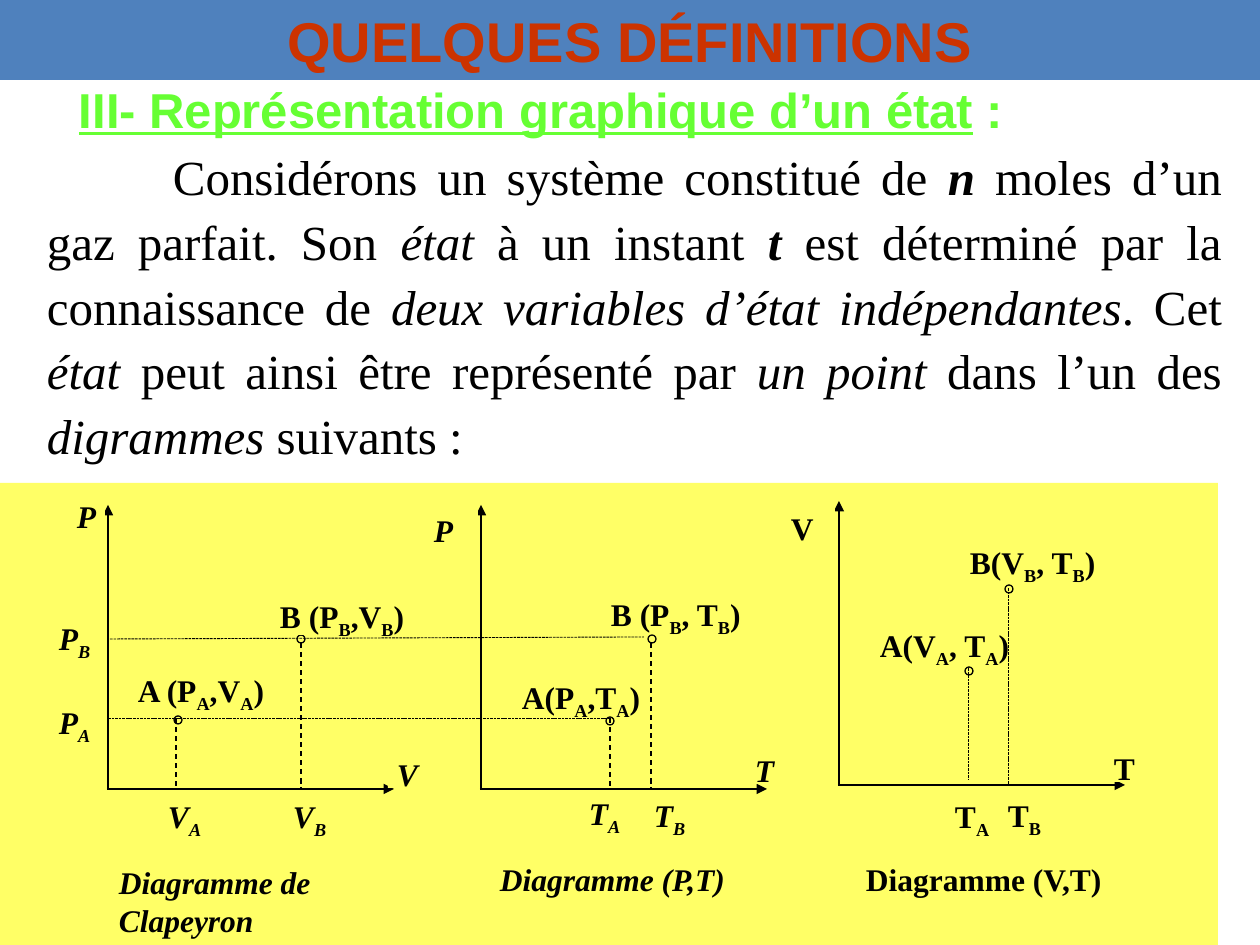
from lxml import etree
from pptx import Presentation
from pptx.dml.color import RGBColor
from pptx.enum.dml import MSO_LINE
from pptx.enum.shapes import MSO_CONNECTOR, MSO_SHAPE
from pptx.enum.text import MSO_ANCHOR, MSO_AUTO_SIZE, PP_ALIGN
from pptx.oxml.ns import qn
from pptx.util import Emu, Pt

STRAIGHT = MSO_CONNECTOR.STRAIGHT
RECTANGLE, OVAL = MSO_SHAPE.RECTANGLE, MSO_SHAPE.OVAL
DASH, SHORT_DASH = MSO_LINE.DASH, MSO_LINE.SQUARE_DOT
LEFT, CENTER, JUSTIFY = PP_ALIGN.LEFT, PP_ALIGN.CENTER, PP_ALIGN.JUSTIFY
TOP, BOTTOM = MSO_ANCHOR.TOP, MSO_ANCHOR.BOTTOM
FIT_SHAPE = MSO_AUTO_SIZE.SHAPE_TO_FIT_TEXT

EMU_PER_PX = 914400 // 126
COLORS = {"banner": "4F81BD", "title": "CC3300", "heading": "66FF33",
          "panel": "FFFF66", "ink": "000000"}

TITLE = "QUELQUES DÉFINITIONS"
HEADING = [("III- Représentation graphique d’un état", {"underline": True}), (" :", {})]
ITALIC = {"italic": True}
BOLD_ITALIC = {"bold": True, "italic": True}
BODY = [
    ("Considérons un système constitué de ", {}), ("n", BOLD_ITALIC),
    (" moles d’un gaz parfait. Son ", {}), ("état ", ITALIC),
    ("à un instant ", {}), ("t ", BOLD_ITALIC),
    ("est déterminé par la connaissance de ", {}),
    ("deux variables d’état indépendantes", ITALIC), (". Cet ", {}),
    ("état ", ITALIC), ("peut ainsi être représenté par ", {}),
    ("un point", ITALIC), (" dans l’un des ", {}),
    ("digrammes", ITALIC), (" suivants\u00a0:", {}),
]

AXIS_WIDTH, AXIS_HEIGHT, POINT_SIZE = 287, 284, 8
ORIGINS = [(107, 789), (480, 789), (838, 785)]
POINTS = [(178, 720), (301, 639), (610, 721), (652, 639), (969, 671), (1009, 589)]
THIN_GUIDES = [(108, 718, 612, 718), (110, 639, 644, 637),
               (968, 668, 968, 780), (1009, 588, 1009, 786)]
GUIDES = [(176, 718, 176, 788), (301, 643, 301, 788),
          (610, 718, 610, 788), (651, 643, 651, 788)]

NARROW, WIDE = (9, 4), (13, 6)
LABEL_GROUPS = [
    (NARROW, True, True, [
        ("P", 68, 493, 37, 50), ("V", 388, 751, 37, 37),
        ("P", 425, 507, 53, 48), ("T", 746, 747, 37, 37),
        ("P_A", 50, 699, 52, 54), ("P_B", 50, 615, 52, 54),
        ("Diagramme de Clapeyron", 110, 859, 318, 45),
        ("Diagramme (P,T)", 491, 856, 331, 63)]),
    (NARROW, False, True, [
        ("V", 782, 505, 53, 48), ("T", 1105, 745, 37, 37),
        ("A (P_A,V_A)", 129, 667, 151, 42), ("B (P_B,V_B)", 271, 593, 146, 42),
        ("A(P_A,T_A)", 513, 674, 142, 42), ("B (P_B, T_B)", 602, 591, 151, 42),
        ("A(V_A, T_A)", 871, 622, 190, 42), ("B(V_B, T_B)", 961, 539, 170, 42),
        ("Diagramme (V,T)", 857, 856, 324, 33)]),
    (WIDE, True, True, [("V_A", 155, 791, 60, 48), ("V_B", 280, 791, 67, 48)]),
    (WIDE, True, False, [("T_A", 576, 788, 79, 48), ("T_B", 641, 790, 60, 48)]),
    (WIDE, False, False, [("T_A", 942, 791, 79, 49), ("T_B", 995, 790, 77, 49)]),
]


def px(value):
    return Emu(value * EMU_PER_PX)


def color(name):
    return RGBColor.from_string(COLORS[name])


def add_shape(shapes, kind, box, fill, outlined=False):
    shape = shapes.add_shape(kind, *map(px, box))
    shape.shadow.inherit = False
    shape.fill.solid()
    shape.fill.fore_color.rgb = color(fill)
    if outlined:
        shape.line.color.rgb = color("ink")
        shape.line.width = Pt(0.75)
    else:
        shape.line.fill.background()
    return shape


def add_line(shapes, ends, width=0.75, dash=None, arrow=False):
    line = shapes.add_connector(STRAIGHT, *map(px, ends))
    line.line.color.rgb = color("ink")
    line.line.width = Pt(width)
    if dash:
        line.line.dash_style = dash
    properties = line._element.spPr
    if arrow:
        etree.SubElement(properties.find(qn("a:ln")), qn("a:tailEnd"), type="triangle")
    etree.SubElement(properties, qn("a:effectLst"))


def write(shape, runs, font, ink, align=LEFT, anchor=TOP, inset=WIDE, wrap=True):
    frame = shape.text_frame
    side, edge = map(px, inset)
    layout = {"margin_left": side, "margin_right": side, "margin_top": edge,
              "margin_bottom": edge, "word_wrap": wrap, "vertical_anchor": anchor}
    for name, value in layout.items():
        setattr(frame, name, value)
    paragraph = frame.paragraphs[0]
    paragraph.alignment = align
    for text, extra in runs:
        run = paragraph.add_run()
        run.text = text
        run.font.color.rgb = color(ink)
        attributes = {**font, **extra}
        baseline = attributes.pop("baseline", None)
        for name, value in attributes.items():
            setattr(run.font, name, value)
        if baseline:
            run._r.get_or_add_rPr().set("baseline", baseline)
    return paragraph


def label_runs(text):
    first, *rest = text.split("_")
    runs = [(first, {})]
    for part in rest:
        runs.append((part[0], {"baseline": "-25000"}))
        if part[1:]:
            runs.append((part[1:], {}))
    return runs


def add_diagrams(shapes):
    add_shape(shapes, RECTANGLE, (0, 483, 1218, 462), "panel")
    for x, y in ORIGINS:
        add_line(shapes, (x + 1, y, x + 1, y - AXIS_HEIGHT), arrow=True)
        add_line(shapes, (x, y, x + AXIS_WIDTH, y), arrow=True)
    for x, y in POINTS:
        half = POINT_SIZE // 2
        add_shape(shapes, OVAL, (x - half, y - half, POINT_SIZE, POINT_SIZE), "panel", True)
    for inset, italic, filled, labels in LABEL_GROUPS:
        font = {"name": "Times New Roman", "size": Pt(18), "bold": True, "italic": italic}
        for text, *box in labels:
            if filled:
                shape = add_shape(shapes, RECTANGLE, box, "panel")
            else:
                shape = shapes.add_textbox(*map(px, box))
            write(shape, label_runs(text), font, "ink", inset=inset)
    for ends in THIN_GUIDES:
        add_line(shapes, ends, 0.5, SHORT_DASH)
    for ends in GUIDES:
        add_line(shapes, ends, 0.75, DASH)


def main():
    presentation = Presentation()
    presentation.slide_width, presentation.slide_height = px(1260), px(945)
    slide = presentation.slides.add_slide(presentation.slide_layouts[6])
    shapes = slide.shapes

    body = shapes.add_textbox(*map(px, (34, 135, 1201, 336)))
    paragraph = write(body, BODY, {"name": "Times New Roman", "size": Pt(28)}, "ink", JUSTIFY)
    paragraph.line_spacing = 1.1
    paragraph._p.get_or_add_pPr().set("indent", str(px(126)))
    body.text_frame.auto_size = FIT_SHAPE

    add_diagrams(shapes.add_group_shape().shapes)

    banner = add_shape(shapes, RECTANGLE, (0, -4, 1260, 84), "banner")
    write(banner, [(TITLE, {})], {"name": "Arial", "size": Pt(32), "bold": True},
          "title", CENTER, BOTTOM)

    heading = shapes.add_textbox(*map(px, (66, 73, 963, 72)))
    write(heading, HEADING, {"name": "Arial", "size": Pt(28), "bold": True},
          "heading", wrap=False)
    heading.text_frame.auto_size = FIT_SHAPE

    presentation.save("out.pptx")


if __name__ == "__main__":
    main()
